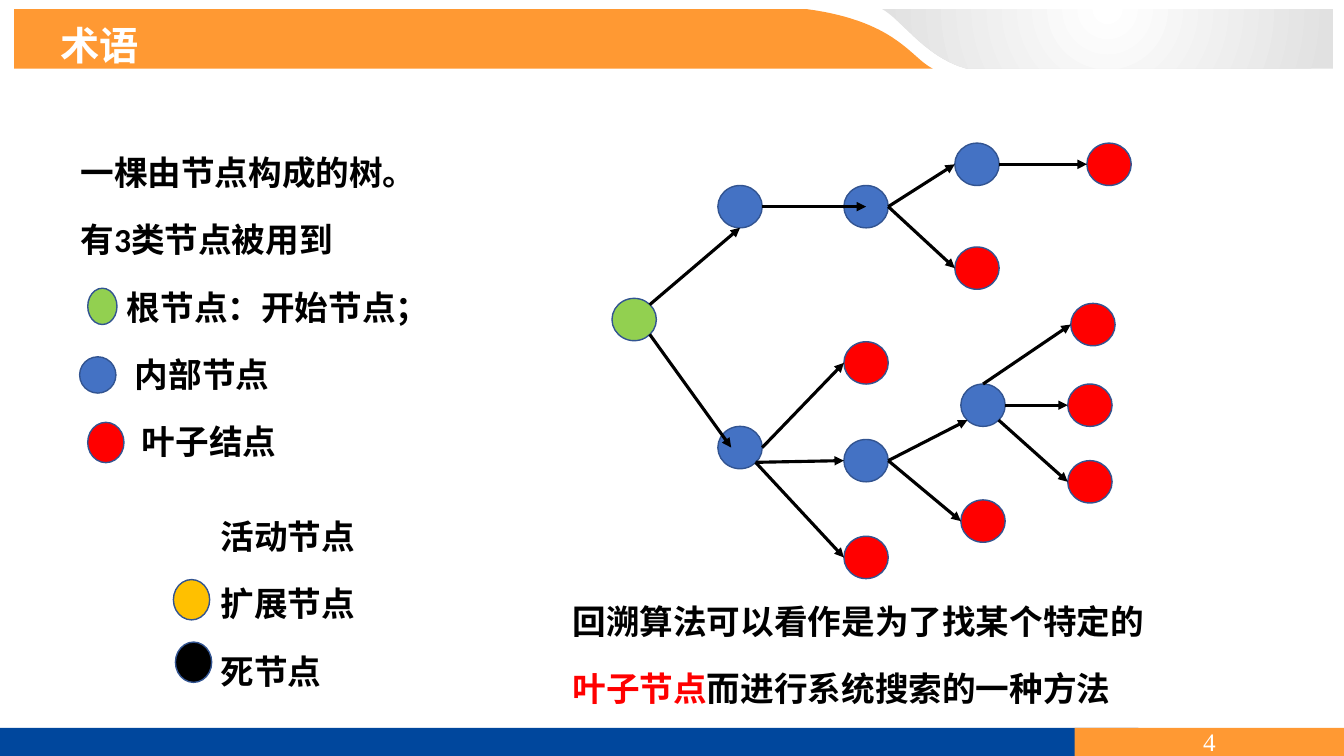
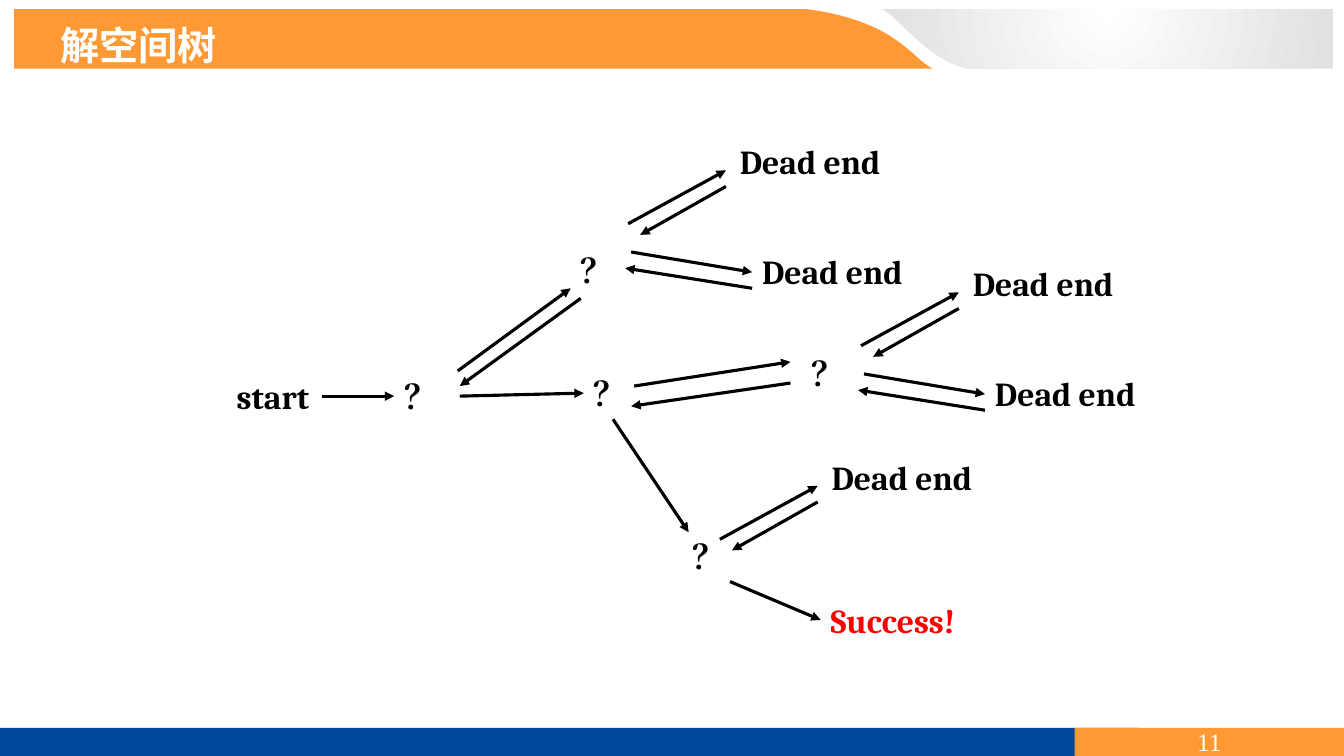
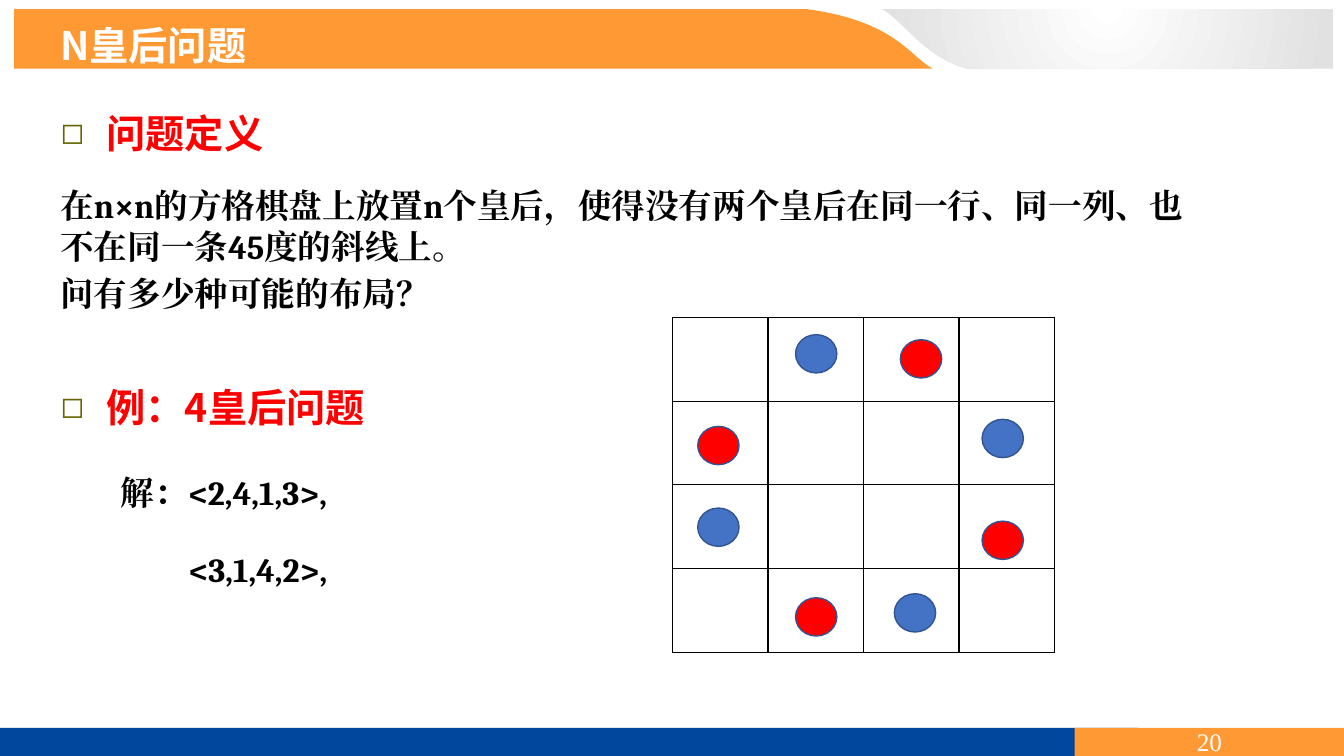
"""Build three slides on backtracking: node terms, a solution tree and N queens."""
from lxml import etree
from pptx import Presentation
from pptx import util as u
from pptx.dml.color import RGBColor as RGB
from pptx.enum import shapes, text
from pptx.oxml import parse_xml
from pptx.oxml.ns import nsdecls, qn


class Theme:
    orange, navy = RGB(0xFF, 0x99, 0x33), RGB(0x00, 0x47, 0x9D)
    black, white = RGB(0, 0, 0), RGB(0xFF, 0xFF, 0xFF)
    red, green = RGB(0xFF, 0, 0), RGB(0x92, 0xD0, 0x50)
    blue, gold = RGB(0x44, 0x72, 0xC4), RGB(0xFF, 0xC0, 0)
    rim = RGB(0x32, 0x54, 0x91)
    pale, olive = "E1E1E1", "666600"
    head, body, foot = u.Pt(28), u.Pt(24), u.Pt(18)
    sans, serif = "Calibri", "Cambria"
    han, roman = "Noto Sans CJK SC", "Times New Roman"
    thin, thick = u.Pt(1), u.Pt(2.25)


deck = Presentation()
deck.slide_width, deck.slide_height = u.Inches(13.33), u.Inches(7.5)
cell = u.Inches(0.1)


def write(slide, area, rows, face, size=Theme.body, color=Theme.black, bold=True,
          pitch=None, fill=None, middle=False, bullet=False, indents=()):
    """Place rows of text, each a string or a tuple of runs, in an area given in grid cells."""
    spot = [round(v * cell) for v in area]
    if fill is None:
        box = slide.shapes.add_textbox(*spot)
    else:
        box = slide.shapes.add_shape(shapes.MSO_SHAPE.RECTANGLE, *spot)
        box.shadow.inherit = False
        box.fill.solid()
        box.fill.fore_color.rgb = fill
        box.line.fill.background()
    frame = box.text_frame
    frame.word_wrap = True
    frame.vertical_anchor = text.MSO_ANCHOR.MIDDLE if middle else text.MSO_ANCHOR.TOP
    for i, row in enumerate(rows):
        par = frame.add_paragraph() if i else frame.paragraphs[0]
        for part in (row,) if isinstance(row, str) else row:
            par.add_run().text = part
        par.alignment = text.PP_ALIGN.CENTER if fill is not None else text.PP_ALIGN.LEFT
        if pitch:
            par.line_spacing = pitch
        if i:
            par.space_before = u.Emu(size // 5)
        props = par._p.get_or_add_pPr()
        if indents:
            props.set("marL", str(round(indents[i] * cell)))
        if bullet:
            props.set("indent", str(-round(indents[i] * cell)))
            tint = etree.SubElement(props, qn("a:buClr"))
            etree.SubElement(tint, qn("a:srgbClr"), val=Theme.olive)
            etree.SubElement(props, qn("a:buSzPct"), val="75000")
            etree.SubElement(props, qn("a:buFont"), typeface="DejaVu Sans")
            etree.SubElement(props, qn("a:buChar"), char="◻")
        font = par.font
        font.size, font.bold, font.name = size, bold, face
        font.color.rgb = color
        etree.SubElement(props.find(qn("a:defRPr")), qn("a:ea"), typeface=face)
    return box


def disc(slide, area, fill):
    """Draw a round node in an area given in grid cells."""
    dot = slide.shapes.add_shape(shapes.MSO_SHAPE.FLOWCHART_CONNECTOR,
                                 *[round(v * cell) for v in area])
    dot.shadow.inherit = False
    dot.fill.solid()
    dot.fill.fore_color.rgb = fill
    dot.line.color.rgb, dot.line.width = Theme.rim, Theme.thin


top, base = 0.9, 6.8
bands = [
    ((1.4, base), ((80, top), (88.9, 2.1), (90.3, 5.7), (92.5, base))),
    ((132.2, top), ((95.9, base), (91.8, 5.7), (89.6, 2.1), (87.5, top))),
]
steps = 30
pages = []
for title, number in (("术语", 4), ("解空间树", 11), ("N皇后问题", 20)):
    page = deck.slides.add_slide(deck.slide_layouts[6])
    pages.append(page)
    for (side, end), curve in bands:
        dots = [(side, curve[0][1])]
        for i in range(steps + 1):
            t = i / steps
            share = ((1 - t) ** 3, 3 * t * (1 - t) ** 2, 3 * t * t * (1 - t), t ** 3)
            dots.append([sum(s * p[k] for s, p in zip(share, curve)) for k in (0, 1)])
        dots.append((side, end))
        dots = [(round(x * cell), round(y * cell)) for x, y in dots]
        pen = page.shapes.build_freeform(*dots[0])
        pen.add_line_segments(dots[1:], close=True)
        band = pen.convert_to_shape()
        band.shadow.inherit = False
        band.line.fill.background()
        band.fill.solid()
        band.fill.fore_color.rgb = Theme.orange
    props = band._element.spPr
    props.replace(props.find(qn("a:solidFill")), parse_xml(
        f'<a:gradFill {nsdecls("a")} rotWithShape="1"><a:gsLst>'
        f'<a:gs pos="0"><a:srgbClr val="{Theme.white}"/></a:gs>'
        f'<a:gs pos="100000"><a:srgbClr val="{Theme.pale}"/></a:gs></a:gsLst>'
        '<a:path path="circle"><a:fillToRect l="50000" t="-80000" r="50000" b="180000"/>'
        '</a:path></a:gradFill>'))
    write(page, (0, 72.2, 112.9, 2.8), [], Theme.roman, fill=Theme.navy)
    write(page, (106.6, 72.2, 26.7, 2.8), [str(number)], Theme.roman, Theme.foot,
          Theme.white, bold=False, fill=Theme.orange, middle=True)
    write(page, (5, 1.6, 68.4, 5.7), [title], Theme.han, Theme.head, Theme.white, middle=True)

terms, space, queens = pages
arrows = []

write(terms, (7, 12.6, 41.2, 40.7),
      ["一棵由节点构成的树。", "有3类节点被用到", "根节点：开始节点；", "内部节点", "叶子结点"],
      Theme.sans, pitch=1.5, indents=(0, 0, 4.6, 5.4, 6.1))
wide, high = 4.4, 4.2
nodes = {
    "root": (60.7, 29.6, Theme.green),
    "up": (71.2, 18.4, Theme.blue), "down": (71.2, 42.3, Theme.blue),
    "fork": (83.7, 18.4, Theme.blue), "leaf": (83.7, 33.9, Theme.red),
    "mid": (83.7, 43.6, Theme.blue), "low": (83.7, 53.2, Theme.red),
    "next": (94.7, 14.2, Theme.blue), "stop": (94.7, 24.5, Theme.red),
    "last": (107.8, 14.2, Theme.red),
    "hub": (95.3, 38.1, Theme.blue), "end": (95.3, 49.6, Theme.red),
    "one": (106.2, 30.1, Theme.red), "two": (105.9, 38.1, Theme.red),
    "three": (105.9, 45.7, Theme.red),
}
for left, high_at, fill in nodes.values():
    disc(terms, (left, high_at, wide, high), fill)
ports = {"n": (0.5, 0), "s": (0.5, 1), "e": (1, 0.5), "w": (0, 0.5), "c": (0.5, 0.5),
         "ne": (0.85, 0.15), "se": (0.85, 0.85), "sw": (0.15, 0.85), "in": (0.3, 0.5)}
edges = """root ne up s, root se down in, down e leaf w, down se mid w, down se low w,
    up e fork c, fork e next w, fork e stop w, next e last w, mid e hub sw,
    mid e end w, hub n one w, hub e two w, hub se three w"""
for edge in edges.split(","):
    start, out, goal, into = edge.split()
    ends = []
    for name, port in ((start, out), (goal, into)):
        ends += [nodes[name][0] + wide * ports[port][0], nodes[name][1] + high * ports[port][1]]
    arrows.append((terms, ends))
for area, fill in (
    ((8.7, 28.6, 2.9, 3.6), Theme.green), ((7.9, 35.4, 3.6, 3.6), Theme.blue),
    ((8.7, 41.9, 3.6, 4), Theme.red), ((17.2, 57.5, 3.6, 4), Theme.gold),
    ((17.4, 63.7, 3.6, 4), Theme.black),
):
    disc(terms, area, fill)
note = write(terms, (55.8, 57.1, 60.2, 12.5),
             ["回溯算法可以看作是为了找某个特定的", ("叶子节点", "而进行系统搜索的一种方法")],
             Theme.sans, pitch=1.5)
note.text_frame.paragraphs[1].runs[0].font.color.rgb = Theme.red
write(terms, (20.9, 48.7, 31.4, 27.1), ["活动节点", "扩展节点", "死节点"], Theme.sans, pitch=1.5)

write(space, (22.5, 36.8, 9.4, 5), ["start"], Theme.serif)
for left, high_at in ((39.1, 36.8), (56.6, 24.3), (57.9, 36.5), (79.5, 34.5), (67.7, 52.7)):
    write(space, (left, high_at, 9.4, 5), ["？"], Theme.serif)
rise = ((62.3, 22.2, 72, 16.9), (72, 18.5, 63.5, 23.3)), (72.4, 13.5)
fall = ((62.6, 25, 74.6, 27), (74.6, 28.6, 62, 26.6)), (74.6, 24.4)
for (pair, (left, high_at)), dx, dy in (
    (rise, 0, 0), (fall, 0, 0), (rise, 23.1, 12.1), (fall, 23.1, 12.1), (rise, 9.1, 31.3),
):
    write(space, (left + dx, high_at + dy, 17.6, 5), ["Dead end"], Theme.serif)
    for x, y, tox, toy in pair:
        arrows.append((space, (x + dx, y + dy, tox + dx, toy + dy)))
write(space, (81.4, 59, 17.6, 5), ["Success!"], Theme.serif, color=Theme.red)
for ends in (
    (31.9, 39.3, 39.1, 39.3), (45.4, 36.8, 56.6, 28.6), (57.6, 29.6, 45.6, 38.3),
    (45.6, 39.3, 57.9, 39), (62.9, 38.3, 78.4, 35.9), (78.4, 38, 62.6, 40.3),
    (60.8, 41.6, 68.3, 52.8), (72.4, 57.7, 81.4, 61.5),
):
    arrows.append((space, ends))

for slide, ends in arrows:
    line = slide.shapes.add_connector(shapes.MSO_CONNECTOR.STRAIGHT,
                                      *[round(v * cell) for v in ends])
    line.line.color.rgb, line.line.width = Theme.black, Theme.thick
    etree.SubElement(line.get_or_add_ln(), qn("a:tailEnd"), type="triangle")
    etree.SubElement(line._element.spPr, qn("a:effectLst"))

for area, label in (((5, 10.3, 119.6, 5.7), "问题定义"), ((5, 37.5, 60, 5.7), "例：4皇后问题")):
    write(queens, area, [label], Theme.han, Theme.head, Theme.red,
          middle=True, bullet=True, indents=(4.6,))
write(queens, (5, 17.9, 114.8, 15.3),
      ["在n×n的方格棋盘上放置n个皇后，使得没有两个皇后在同一行、同一列、也不在同一条45度的斜线上。",
       "问有多少种可能的布局？"], Theme.serif)
size = 4
board = queens.shapes.add_table(size, size, *[round(v * cell) for v in (66.7, 31.5, 37.9, 33.2)]).table
board.first_row = board.horz_banding = False
for square in board.iter_cells():
    props = square._tc.get_or_add_tcPr()
    for side in "LRTB":
        rule = etree.SubElement(props, qn(f"a:ln{side}"), w=str(int(Theme.thin)))
        ink = etree.SubElement(rule, qn("a:solidFill"))
        etree.SubElement(ink, qn("a:srgbClr"), val=str(Theme.black))
    square.fill.background()
for fill, places in (
    (Theme.blue, ((78.9, 33.2), (69.2, 50.4), (88.7, 58.9), (97.4, 41.6))),
    (Theme.red, ((89.3, 33.7), (69.2, 42.3), (97.4, 51.7), (78.9, 59.3))),
):
    for left, high_at in places:
        disc(queens, (left, high_at, 4.1, 3.8), fill)
for high_at, label, indent in ((46.3, "解：<2,4,1,3>,", 0), (54, "<3,1,4,2>,", 6.7)):
    write(queens, (11, high_at, 34.1, 6.2), [label], Theme.serif, indents=(indent,))

deck.save("out.pptx")
